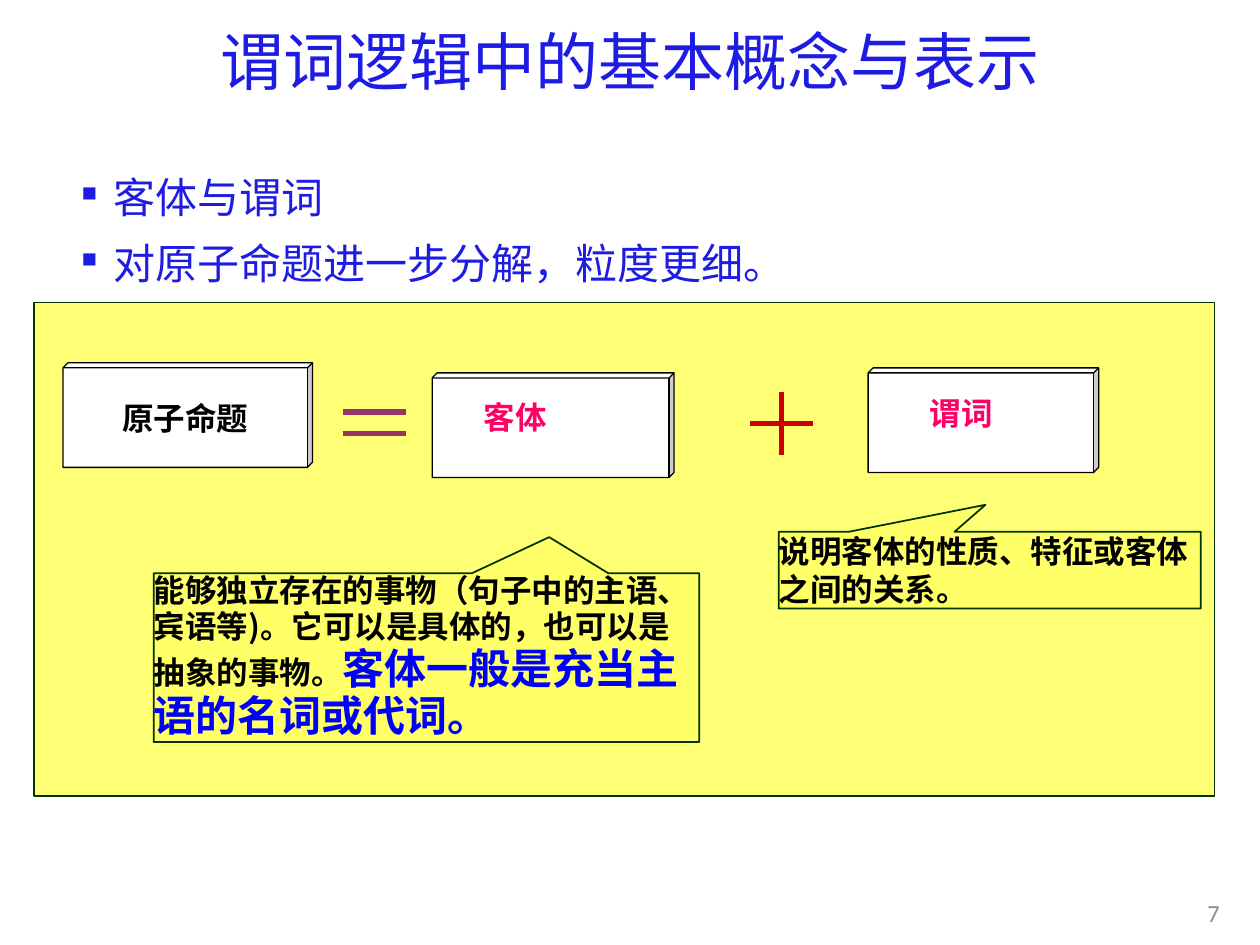
from dataclasses import dataclass

from lxml import etree
from pptx import Presentation
from pptx import util as u
from pptx.dml.color import RGBColor
from pptx.enum import shapes, text
from pptx.oxml.ns import qn


@dataclass(frozen=True)
class Theme:
    cjk: str = "Noto Sans CJK SC"
    latin: str = "Calibri"
    blue: str = "1E1CE3"
    vivid: str = "0000FF"
    pink: str = "FF0066"
    plum: str = "993366"
    red: str = "CC0000"
    yellow: str = "FFFF66"
    green: str = "003300"
    gray: str = "8C8C8C"
    black: str = "000000"
    white: str = "FFFFFF"
    title: int = 36
    body: int = 24
    label: int = 18
    note: int = 14


@dataclass(frozen=True)
class Box:
    """A box in cells of a grid with 100 columns and 75 rows."""
    col: float
    row: float
    cols: float
    rows: float

    def sub(self, col, row, cols, rows):
        return Box(self.col + col, self.row + row, cols, rows)

    def emu(self):
        return [int(n * CELL) for n in (self.col, self.row, self.cols, self.rows)]


T = Theme()
WIDE = u.Inches(10)
CELL = WIDE / 100
KIND = shapes.MSO_SHAPE
ALIGN = text.PP_ALIGN
MID = text.MSO_ANCHOR.MIDDLE
GROW = text.MSO_AUTO_SIZE.SHAPE_TO_FIT_TEXT


def add_node(root, tag, **attrs):
    return etree.SubElement(root, qn(tag), attrs)


def add_run(para, words, size, color, bold=False, font=T.cjk):
    run = para.add_run()
    run.text = words
    run.font.size = u.Pt(size)
    run.font.bold = bold
    run.font.color.rgb = RGBColor.from_string(color)
    run.font.name = font
    add_node(run.font._element, "a:ea", typeface=font)


def add_text(slide, box, words, size, color, align, font=T.cjk):
    frame = slide.shapes.add_textbox(*box.emu()).text_frame
    frame.word_wrap = True
    frame.vertical_anchor = MID
    para = frame.paragraphs[0]
    para.alignment = align
    add_run(para, words, size, color, font=font)
    return para


def add_form(slide, kind, box, fill, line=None, width=1, alpha=None, adj=()):
    form = slide.shapes.add_shape(kind, *box.emu())
    form.shadow.inherit = False
    form.fill.solid()
    form.fill.fore_color.rgb = RGBColor.from_string(fill)
    if alpha:
        tint = form.fill._xPr.find(qn("a:solidFill"))[0]
        add_node(tint, "a:alpha", val=str(alpha * 1000))
    if line:
        form.line.color.rgb = RGBColor.from_string(line)
        form.line.width = u.Pt(width)
    else:
        form.line.fill.background()
    for spot, share in enumerate(adj):
        form.adjustments[spot] = share
    return form


def add_line(slide, box, color):
    left, top, wide, high = box.emu()
    line = slide.shapes.add_connector(
        shapes.MSO_CONNECTOR.STRAIGHT, left, top, left + wide, top + high)
    line.line.color.rgb = RGBColor.from_string(color)
    line.line.width = u.Pt(3)
    add_node(line._element.spPr, "a:effectLst")


def add_title(slide, box):
    para = add_text(slide, box, "谓词逻辑中的基本概念与表示", T.title, T.blue, ALIGN.CENTER)
    para.line_spacing = 0.9


def add_points(slide, box):
    frame = slide.shapes.add_textbox(*box.emu()).text_frame
    frame.word_wrap = True
    for spot, words in enumerate(("客体与谓词", "对原子命题进一步分解，粒度更细。")):
        para = frame.add_paragraph() if spot else frame.paragraphs[0]
        para.line_spacing = 1.1
        para.space_after = u.Pt(6)
        add_run(para, words, T.body, T.blue)
        props = para._p.get_or_add_pPr()
        inset = u.Inches(0.25)
        props.set("marL", str(inset))
        props.set("indent", str(-inset))
        add_node(props, "a:buSzPct", val="50000")
        add_node(props, "a:buChar", char="■")


def add_cube(slide, box):
    return add_form(slide, KIND.CUBE, box, T.white, T.black, 0.75, adj=[0.048])


def add_whole(slide, box):
    frame = add_cube(slide, box).text_frame
    frame.word_wrap = False
    frame.vertical_anchor = MID
    para = frame.paragraphs[0]
    para.alignment = ALIGN.CENTER
    add_run(para, "原子命题", T.label, T.black, True)


def add_part(slide, box, words, col, row):
    """A cube whose label sits col and row cells from its corner."""
    add_cube(slide, box)
    label = add_form(slide, KIND.RECTANGLE, box.sub(col, row, 7.1, 4), T.white)
    frame = label.text_frame
    frame.word_wrap = False
    frame.auto_size = GROW
    frame.vertical_anchor = text.MSO_ANCHOR.TOP
    para = frame.paragraphs[0]
    para.alignment = ALIGN.LEFT
    add_run(para, words, T.label, T.pink, True)


def add_equals(slide, box):
    for row in (0, box.rows):
        add_line(slide, box.sub(0, row, box.cols, 0), T.plum)


def add_plus(slide, box):
    add_line(slide, box.sub(0, box.rows / 2, box.cols, 0), T.red)
    add_line(slide, box.sub(box.cols / 2, 0, 0, box.rows), T.red)


def add_callout(slide, box, tip, runs, anchor, space=1):
    form = add_form(slide, KIND.RECTANGULAR_CALLOUT, box, T.yellow, T.green,
                    alpha=90, adj=tip)
    frame = form.text_frame
    frame.word_wrap = True
    frame.auto_size = GROW
    frame.vertical_anchor = anchor
    frame.margin_left = frame.margin_right = 0
    frame.margin_top = frame.margin_bottom = 0
    para = frame.paragraphs[0]
    para.alignment = ALIGN.LEFT
    para.line_spacing = space
    for words, size, color in runs:
        add_run(para, words, size, color, True)


def add_panel(slide, box):
    add_form(slide, KIND.RECTANGLE, box, T.yellow, T.green, alpha=90)
    add_whole(slide, box.sub(2.3, 4.8, 19.8, 8.3))
    add_equals(slide, box.sub(24.5, 8.7, 5, 1.7))
    add_part(slide, box.sub(31.6, 5.6, 19.2, 8.3), "客体", 3.1, 1.5)
    add_plus(slide, box.sub(56.8, 7.1, 5, 5))
    add_part(slide, box.sub(66.2, 5.2, 18.3, 8.3), "谓词", 3.9, 1.6)
    add_callout(slide, box.sub(9.5, 21.5, 43.3, 13.4), (0.225, -0.714), [
        ("能够独立存在的事物（句子中的主语、宾语等)。它可以是具体的，也可以是抽象的事物。",
         T.label, T.black),
        ("客体一般是充当主语的名词或代词。", T.body, T.vivid)], MID, 0.95)
    add_callout(slide, box.sub(59.1, 18.2, 33.5, 6.1), (-0.01, -0.851), [
        ("说明客体的性质、特征或客体之间的关系。", T.label, T.black)],
        text.MSO_ANCHOR.TOP)


def main():
    deck = Presentation()
    deck.slide_width, deck.slide_height = WIDE, u.Inches(7.5)
    slide = deck.slides.add_slide(deck.slide_layouts[6])
    add_title(slide, Box(6.9, 1.2, 86.2, 7.9))
    add_points(slide, Box(5.5, 12.7, 89.1, 7.9))
    add_text(slide, Box(89.4, 70.4, 8.4, 4), "7", T.note, T.gray, ALIGN.RIGHT, T.latin)
    add_panel(slide, Box(2.7, 24, 93.7, 39.2))
    deck.save("out.pptx")


if __name__ == "__main__":
    main()
